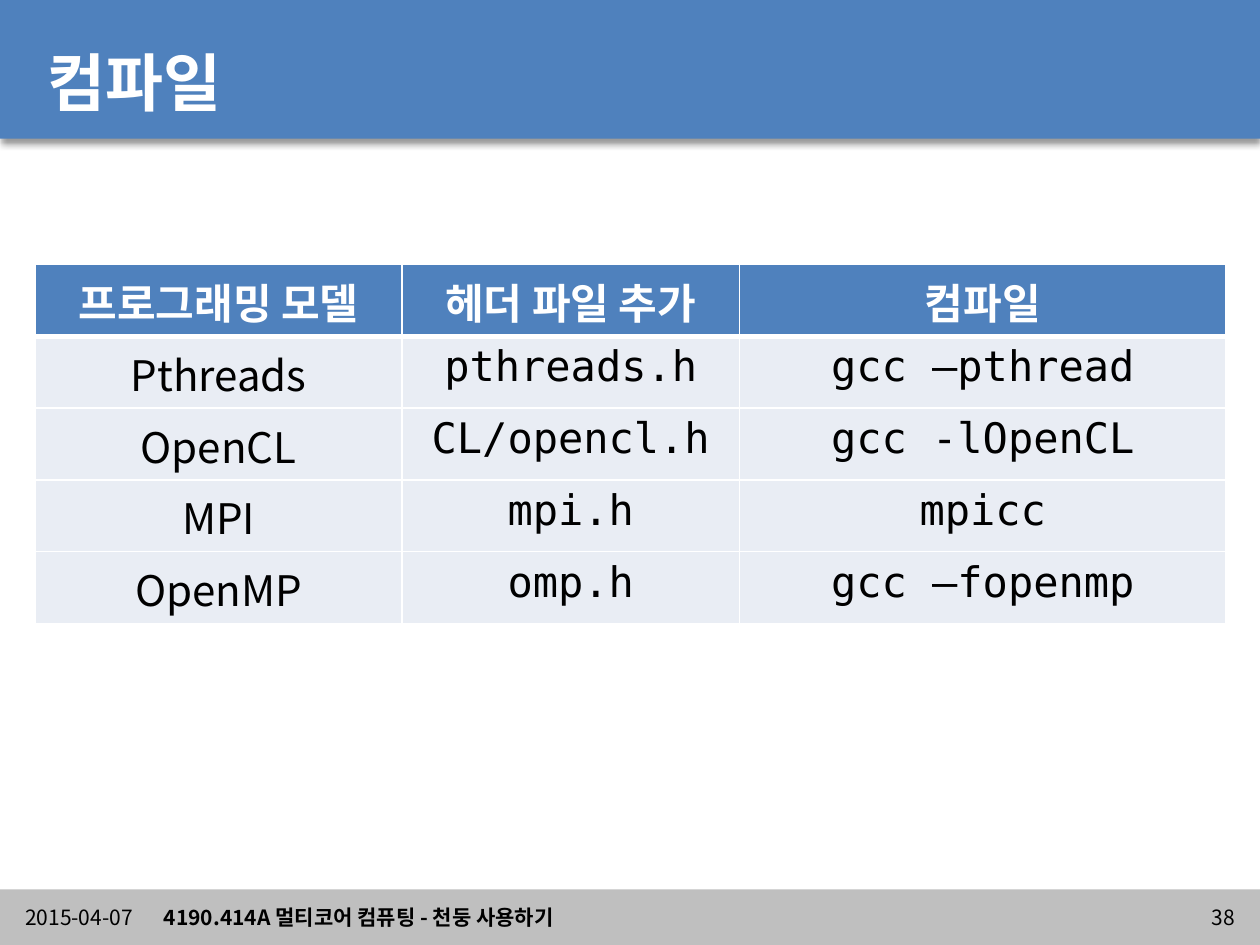
from lxml import etree
from pptx import Presentation
from pptx.dml.color import RGBColor
from pptx.enum import shapes, text
from pptx.oxml import parse_xml
from pptx.oxml.ns import nsdecls, qn
from pptx.util import Inches, Pt

COLORS = {"blue": "4F81BD", "gray": "BFBFBF", "pale": "E9EDF4",
          "white": "FFFFFF", "black": "000000"}
SANS, MONO = "Noto Sans CJK KR", "DejaVu Sans Mono"
LEFT, CENTER, RIGHT = text.PP_ALIGN.LEFT, text.PP_ALIGN.CENTER, text.PP_ALIGN.RIGHT


def write(tf, content, size, color, bold=False, align=LEFT, face=SANS):
    tf.text = content
    p = tf.paragraphs[0]
    p.alignment = align
    r = p.runs[0]
    r.font.size = Pt(size)
    r.font.bold = bold
    r.font.color.rgb = RGBColor.from_string(COLORS[color])
    r.font.name = face
    etree.SubElement(r.font._element, qn("a:ea"), typeface=face)


def add_text(box, content, size, color, inset=None, **style):
    tf = s.shapes.add_textbox(*map(Inches, box)).text_frame
    tf.word_wrap = True
    tf.vertical_anchor = text.MSO_ANCHOR.MIDDLE
    if inset is not None:
        tf.margin_left = tf.margin_right = tf.margin_top = tf.margin_bottom = Inches(inset)
    write(tf, content, size, color, **style)


prs = Presentation()
prs.slide_width, prs.slide_height = Inches(10), Inches(7.5)
s = prs.slides.add_slide(prs.slide_layouts[6])

for top, height, color in [(7.06, 0.44, "gray"), (0, 1.1, "blue")]:
    band = s.shapes.add_shape(shapes.MSO_SHAPE.RECTANGLE, 0, Inches(top),
                              prs.slide_width, Inches(height))
    band.shadow.inherit = False
    band.fill.solid()
    band.fill.fore_color.rgb = RGBColor.from_string(COLORS[color])
    band.line.fill.background()

effects = band._element.spPr.find(qn("a:effectLst"))
effects.append(parse_xml(
    f'<a:outerShdw {nsdecls("a")} blurRad="{Pt(4)}" dist="{Pt(3)}" dir="5400000" '
    f'rotWithShape="0"><a:srgbClr val="{COLORS["black"]}"><a:alpha val="40000"/>'
    '</a:srgbClr></a:outerShdw>'))

add_text((0.28, 0.29, 9.45, 0.71), "컴파일", 36, "white", bold=True)

footer = [
    (0.2, 1.1, "2015-04-07", False, LEFT),
    (1.3, 7.8, "4190.414A 멀티코어 컴퓨팅 - 천둥 사용하기", True, LEFT),
    (9.09, 0.71, "38", False, RIGHT),
]
for left, width, content, bold, align in footer:
    add_text((left, 7.16, width, 0.24), content, 12, "black", inset=0,
             bold=bold, align=align)

rows = [
    ("프로그래밍 모델", "헤더 파일 추가", "컴파일"),
    ("Pthreads", "pthreads.h", "gcc –pthread"),
    ("OpenCL", "CL/opencl.h", "gcc -lOpenCL"),
    ("MPI", "mpi.h", "mpicc"),
    ("OpenMP", "omp.h", "gcc –fopenmp"),
]
widths = [2.91, 2.68, 3.86]
table = s.shapes.add_table(len(rows), len(widths), Inches(0.28), Inches(2.1),
                           Inches(sum(widths)), Inches(0.57 * len(rows))).table
table.horz_banding = False
for column, width in zip(table.columns, widths):
    column.width = Inches(width)

for i, row in enumerate(rows):
    header = i == 0
    for j, content in enumerate(row):
        cell = table.cell(i, j)
        write(cell.text_frame, content, 24, "white" if header else "black",
              bold=header, align=CENTER, face=SANS if header or j == 0 else MONO)
        tcPr = cell._tc.get_or_add_tcPr()
        for side in "LRTB":
            thick = (i, side) in [(0, "B"), (1, "T")]
            tcPr.append(parse_xml(
                f'<a:ln{side} {nsdecls("a")} w="{Pt(3 if thick else 1)}"><a:solidFill>'
                f'<a:srgbClr val="{COLORS["white"]}"/></a:solidFill></a:ln{side}>'))
        cell.fill.solid()
        cell.fill.fore_color.rgb = RGBColor.from_string(COLORS["blue" if header else "pale"])

prs.save("out.pptx")
